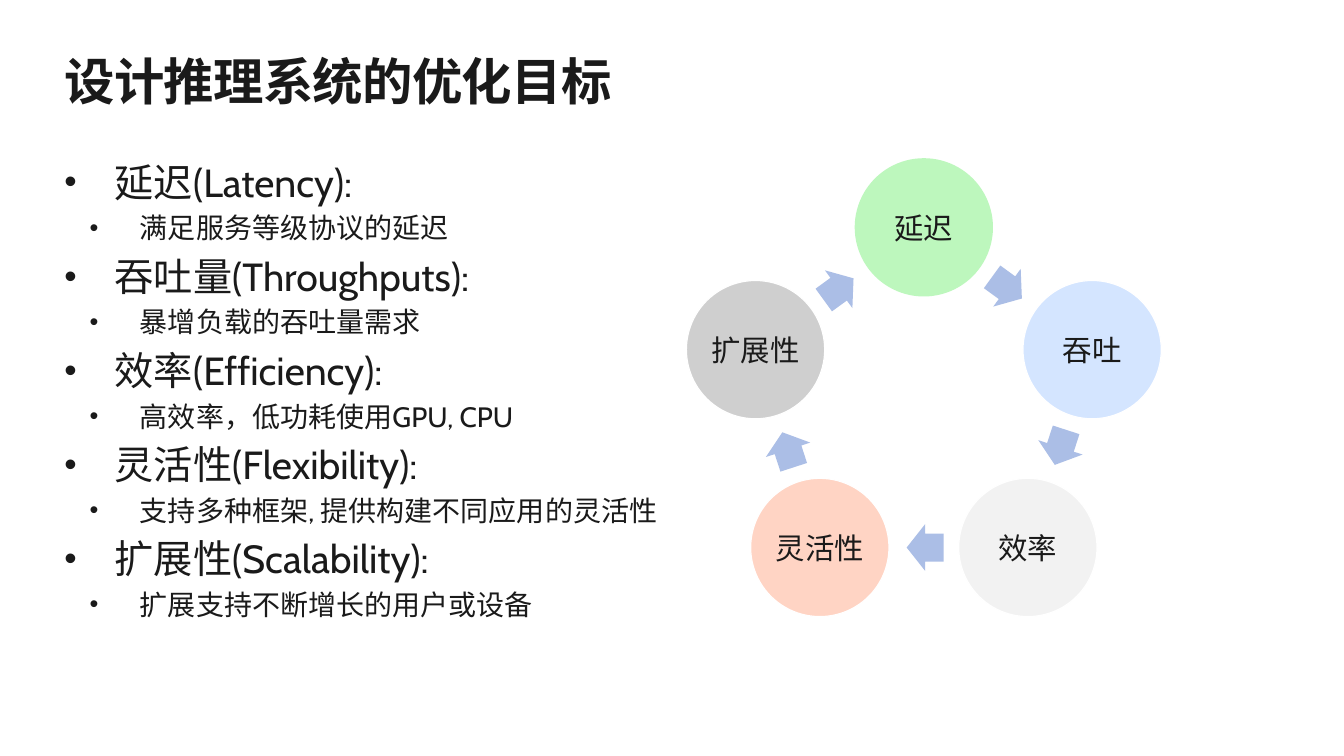
from math import cos, radians, sin

from lxml import etree
from pptx import Presentation
from pptx.dml.color import RGBColor
from pptx.enum import shapes, text
from pptx.oxml import ns
from pptx.util import Pt

INK = RGBColor(0x1A, 0x1A, 0x1A)
WHITE = RGBColor(0xFF, 0xFF, 0xFF)
ARROW = RGBColor(0xAB, 0xBE, 0xE6)
FACE = "Cabin"

TITLE = "设计推理系统的优化目标"
GOALS = [
    ("延迟(Latency):", "满足服务等级协议的延迟"),
    ("吞吐量(Throughputs):", "暴增负载的吞吐量需求"),
    ("效率(Efficiency):", "高效率，低功耗使用GPU, CPU"),
    ("灵活性(Flexibility):", "支持多种框架, 提供构建不同应用的灵活性"),
    ("扩展性(Scalability):", "扩展支持不断增长的用户或设备"),
]
CYCLE = [
    ("延迟", RGBColor(0xBD, 0xF7, 0xBD)),
    ("吞吐", RGBColor(0xD4, 0xE5, 0xFF)),
    ("效率", RGBColor(0xF2, 0xF2, 0xF2)),
    ("灵活性", RGBColor(0xFF, 0xD4, 0xC4)),
    ("扩展性", RGBColor(0xCF, 0xCF, 0xCF)),
]
# size, left indent, space before, all in points, for each outline level
LEVELS = [(28, 36, 5.6), (20, 54, 4)]
HANG = 36

MID_X, MID_Y = 659.9, 288.8
RING, DISC = 126.4, 98.8
TRACK, LONG, WIDE = 102.3, 26.3, 33.3
STEP = 360 / len(CYCLE)
LAG = 0.5  # degrees each arrow sits behind the halfway point

deck = Presentation()
deck.slide_width, deck.slide_height = Pt(960), Pt(540)
slide = deck.slides.add_slide(deck.slide_layouts[6])


def style(font, **look):
    font.color.rgb = INK
    for key, value in {"name": FACE, **look}.items():
        setattr(font, key, value)


def set_frame(frame, pad, anchor):
    frame.word_wrap = True
    frame.vertical_anchor = anchor
    for side in ("left", "right", "top", "bottom"):
        setattr(frame, "margin_" + side, Pt(pad))


def add_box(left, top, width, height):
    box = slide.shapes.add_textbox(Pt(left), Pt(top), Pt(width), Pt(height))
    set_frame(box.text_frame, 0, text.MSO_ANCHOR.TOP)
    return box.text_frame


def add_bullet(para, indent):
    props = para._p.get_or_add_pPr()
    props.set("marL", str(Pt(indent)))
    props.set("indent", str(-Pt(HANG)))
    for tag, key, value in (("a:buSzPct", "val", "90000"),
                            ("a:buFont", "typeface", "Arial"),
                            ("a:buChar", "char", "•")):
        etree.SubElement(props, ns.qn(tag)).set(key, value)


def add_part(kind, angle, reach, width, height, fill):
    """Place a shape centred on the ring, angle in degrees clockwise from the top."""
    x = MID_X + reach * sin(radians(angle))
    y = MID_Y - reach * cos(radians(angle))
    part = slide.shapes.add_shape(kind, Pt(x - width / 2), Pt(y - height / 2),
                                  Pt(width), Pt(height))
    part.shadow.inherit = False
    part.fill.solid()
    part.fill.fore_color.rgb = fill
    part.line.fill.background()
    return part


head = add_box(46, 36, 868, 87).paragraphs[0]
run = head.add_run()
run.text = TITLE
style(run.font, size=Pt(36), bold=True)
run.font._element.set("spc", "-50")

body = add_box(46, 113, 427, 423)
lines = [(level, line) for goal in GOALS for level, line in enumerate(goal)]
for i, (level, line) in enumerate(lines):
    size, indent, gap = LEVELS[level]
    para = body.add_paragraph() if i else body.paragraphs[0]
    para.level = level
    if i:
        para.space_before = Pt(gap)
    add_bullet(para, indent)
    run = para.add_run()
    run.text = line
    style(run.font, size=Pt(size))

for i, (label, fill) in enumerate(CYCLE):
    angle = i * STEP
    disc = add_part(shapes.MSO_SHAPE.OVAL, angle, RING, DISC, DISC, fill)
    if i:
        disc.line.color.rgb = WHITE
        disc.line.width = Pt(0.85)
    set_frame(disc.text_frame, 2, text.MSO_ANCHOR.MIDDLE)
    para = disc.text_frame.paragraphs[0]
    para.alignment = text.PP_ALIGN.CENTER
    run = para.add_run()
    run.text = label
    style(run.font, size=Pt(21))

    turn = angle + STEP / 2
    arrow = add_part(shapes.MSO_SHAPE.RIGHT_ARROW, turn - LAG, TRACK, LONG, WIDE, ARROW)
    arrow.rotation = turn
    arrow.adjustments[0] = 0.6

deck.save("out.pptx")
